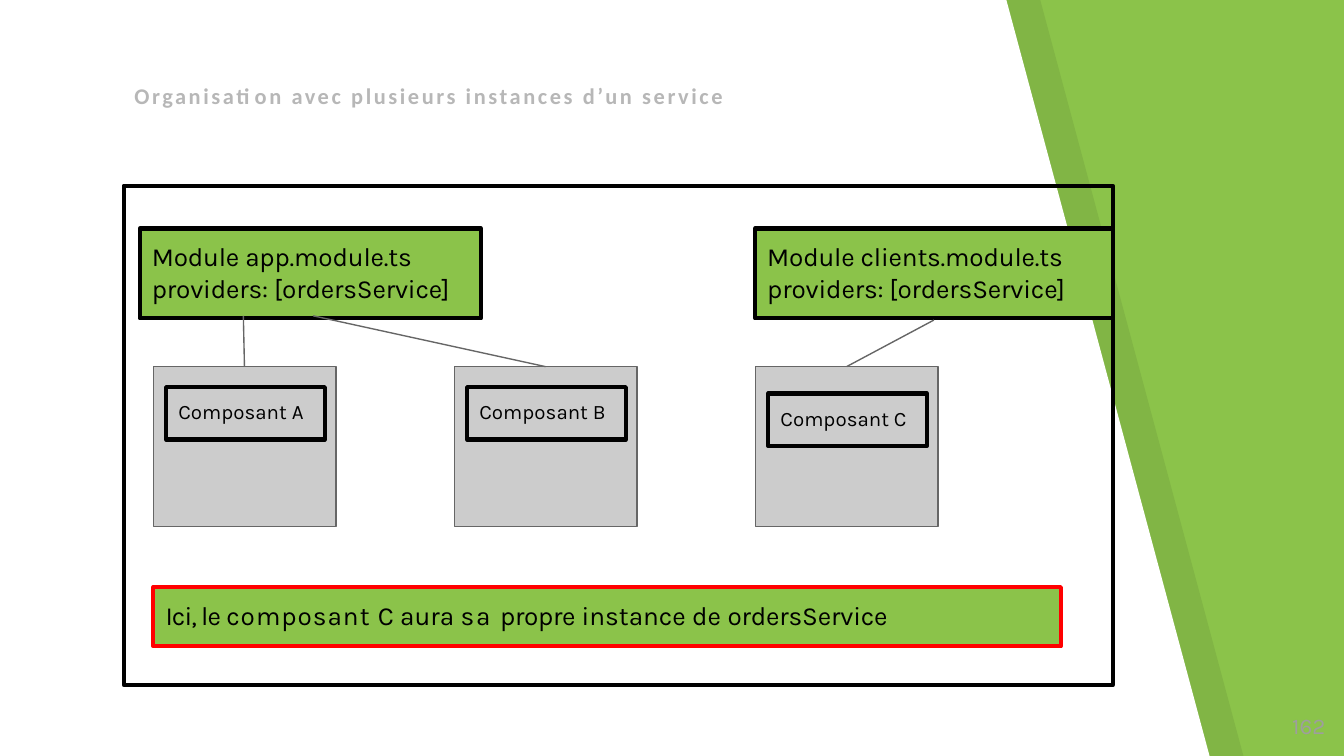
from pptx import Presentation
from pptx.dml.color import RGBColor
from pptx.enum.shapes import MSO_CONNECTOR as CONN, MSO_SHAPE as SHAPE
from pptx.enum.text import MSO_ANCHOR as ANCHOR, MSO_AUTO_SIZE as AUTO, PP_ALIGN as ALIGN
from pptx.oxml.ns import qn
from pptx.util import Cm, Pt
from lxml import etree

GREEN = RGBColor(0x8B, 0xC3, 0x4A)
DARK_GREEN = RGBColor(0x81, 0xB5, 0x45)
WHITE = RGBColor(0xFF, 0xFF, 0xFF)
BLACK = RGBColor(0, 0, 0)
RED = RGBColor(0xFF, 0, 0)
LIGHT_GRAY = RGBColor(0xCC, 0xCC, 0xCC)
LINE_GRAY = RGBColor(0x66, 0x66, 0x66)
TITLE_GRAY = RGBColor(0xB7, 0xB7, 0xB7)
NUMBER_GRAY = RGBColor(0x9E, 0x9E, 0x9E)


def write(sp, *runs, size=14, font="Karla", color=BLACK, bold=False,
          align=ALIGN.LEFT, inset=0.23):
    tf = sp.text_frame
    tf.word_wrap = True
    tf.auto_size = AUTO.NONE
    tf.vertical_anchor = ANCHOR.TOP
    tf.margin_left = tf.margin_top = Cm(inset)
    tf.margin_right = tf.margin_bottom = 0
    p = tf.paragraphs[0]
    p.alignment = align
    p.space_before = Pt(0)
    for text, spacing in runs:
        r = p.add_run()
        r.text = text
        r.font.name = font
        r.font.size = Pt(size)
        r.font.bold = bold
        r.font.color.rgb = color
        r._r.get_or_add_rPr().set("spc", str(round(spacing * 100)))


def box(left, top, width, height, fill=None, line=BLACK, weight=2.25):
    sp = s.shapes.add_shape(SHAPE.RECTANGLE, Cm(left), Cm(top), Cm(width), Cm(height))
    sp.shadow.inherit = False
    if fill is None:
        sp.fill.background()
    else:
        sp.fill.solid()
        sp.fill.fore_color.rgb = fill
    sp.line.color.rgb = line
    sp.line.width = Pt(weight)
    return sp


prs = Presentation()
prs.slide_width, prs.slide_height = Cm(25.4), Cm(14.29)
s = prs.slides.add_slide(prs.slide_layouts[5])
s.background.fill.solid()
s.background.fill.fore_color.rgb = GREEN

for left, top_right, bottom_right, color in [
    (0.64, 19.66, 23.5, DARK_GREEN),
    (0, 19.02, 22.86, WHITE),
]:
    fb = s.shapes.build_freeform(Cm(left), 0)
    fb.add_line_segments([
        (Cm(top_right), 0), (Cm(bottom_right), Cm(14.29)), (Cm(left), Cm(14.29)),
    ])
    panel = fb.convert_to_shape()
    panel.shadow.inherit = False
    panel.fill.solid()
    panel.fill.fore_color.rgb = color
    panel.line.fill.background()

title = s.shapes.title
title.left, title.top, title.width, title.height = Cm(2.54), Cm(1.55), Cm(12), Cm(0.58)
write(title, ("Organisation avec plusieurs instances d’un service", 1.4),
      size=12, font="Calibri", color=TITLE_GRAY, bold=True, inset=0)
title.element.getparent().append(title.element)

box(2.34, 3.51, 18.69, 9.44)

for left, width, name in [(2.64, 6.45, "app"), (14.27, 6.76, "clients")]:
    module = box(left, 4.32, width, 1.7, GREEN)
    write(module, (f"Module {name}.module.ts providers: [ordersService]", -0.1))

for i, (letter, label_top) in enumerate([("A", 7.32), ("B", 7.32), ("C", 7.44)]):
    left = 2.9 + 5.69 * i
    box(left, 6.93, 3.45, 3.02, LIGHT_GRAY, LINE_GRAY, 0.75)
    label = box(left + 0.24, label_top, 3, 0.99, LIGHT_GRAY)
    write(label, (f"Composant {letter}", 0), size=11)

for x1, y1, x2 in [(4.6, 5.97, 4.62), (5.92, 5.97, 10.31), (17.65, 6.05, 16)]:
    link = s.shapes.add_connector(CONN.STRAIGHT, Cm(x1), Cm(y1), Cm(x2), Cm(6.93))
    link.line.color.rgb = LINE_GRAY
    link.line.width = Pt(0.75)
    etree.SubElement(link.element.spPr, qn("a:effectLst"))

note = box(2.9, 11.1, 17.15, 1.12, GREEN, RED)
write(note, ("Ici, le ", -0.5), ("composant ", 0.5), ("C aura ", 0), ("sa ", 0.9),
      ("propre ", -0.2), ("instance de ", 0), ("ordersService", -0.1))

number = s.shapes.add_textbox(Cm(23.5), Cm(13.46), Cm(1.55), Cm(0.6))
write(number, ("162", 0), size=12, color=NUMBER_GRAY, align=ALIGN.RIGHT, inset=0)

prs.save("out.pptx")
